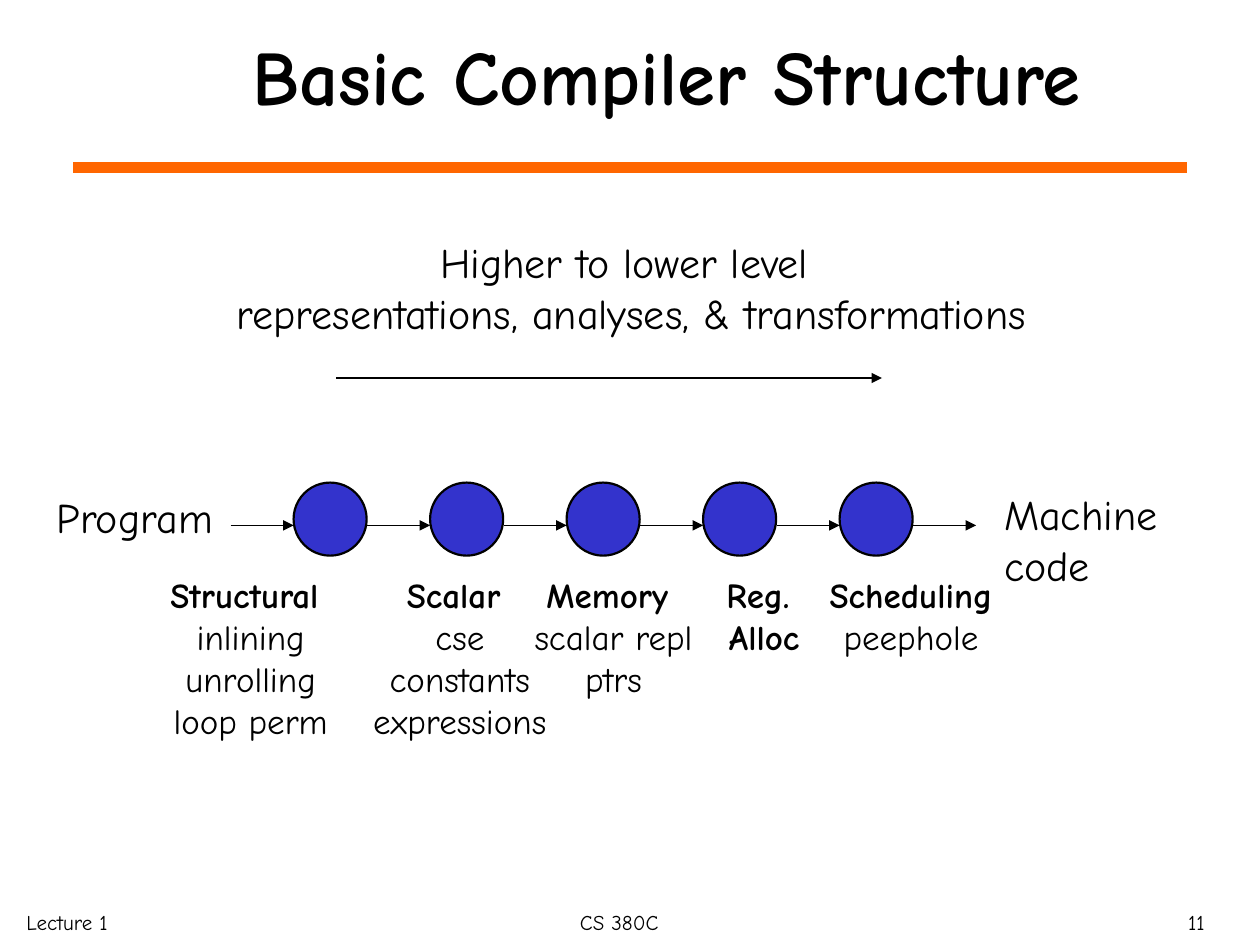
import pptx
import pptx.dml.color
import pptx.enum.shapes
import pptx.enum.text
import pptx.oxml
import pptx.oxml.ns
import pptx.util

Inches = pptx.util.Inches
Pt = pptx.util.Pt
RGBColor = pptx.dml.color.RGBColor
ALIGN = pptx.enum.text.PP_ALIGN
BLACK = RGBColor(0x00, 0x00, 0x00)
BLUE = RGBColor(0x33, 0x33, 0xCC)
ORANGE = RGBColor(0xFF, 0x66, 0x00)
PITCH = 13 / 12
SIDE = 0.58


class Sheet:
    font = "Comic Neue"

    def __init__(self, slide):
        self.slide = slide

    def style(self, para, size, bold, align):
        para.alignment = align
        for run in para.runs:
            run.font.name = self.font
            run.font.size = Pt(size)
            run.font.bold = bold
            run.font.color.rgb = BLACK

    def title(self, text, x, y, w, h):
        box = self.slide.shapes.title
        box.left, box.top, box.width, box.height = map(Inches, (x, y, w, h))
        box.text_frame.text = text
        box.text_frame.vertical_anchor = pptx.enum.text.MSO_ANCHOR.MIDDLE
        para = box.text_frame.paragraphs[0]
        para.line_spacing = 0.8
        self.style(para, 44, True, ALIGN.CENTER)

    def text(self, text, x, y, w, h, size, align=ALIGN.LEFT, bolds=0, wrap=False):
        box = self.slide.shapes.add_textbox(*map(Inches, (x, y, w, h)))
        frame = box.text_frame
        frame.text = text
        frame.word_wrap = wrap
        if not wrap:
            frame.auto_size = pptx.enum.text.MSO_AUTO_SIZE.SHAPE_TO_FIT_TEXT
        for i, para in enumerate(frame.paragraphs):
            self.style(para, size, i < bolds, align)
        return frame

    def line(self, x1, y1, x2, y2, color, width, arrow=True):
        line = self.slide.shapes.add_connector(
            pptx.enum.shapes.MSO_CONNECTOR.STRAIGHT, *map(Inches, (x1, y1, x2, y2)))
        line.line.color.rgb = color
        line.line.width = Pt(width)
        make = pptx.oxml.ns.qn
        props = line._element.spPr
        if arrow:
            tail = props.find(make("a:ln")).makeelement(make("a:tailEnd"), {"type": "triangle"})
            props.find(make("a:ln")).append(tail)
        props.append(props.makeelement(make("a:effectLst"), {}))

    def disc(self, x, y):
        disc = self.slide.shapes.add_shape(
            pptx.enum.shapes.MSO_SHAPE.OVAL, *map(Inches, (x, y, SIDE, SIDE)))
        disc.shadow.inherit = False
        disc.fill.solid()
        disc.fill.fore_color.rgb = BLUE
        disc.line.color.rgb = BLACK
        disc.line.width = Pt(1.25)


def main():
    deck = pptx.Presentation()
    deck.slide_width, deck.slide_height = Inches(10), Inches(7.5)
    sheet = Sheet(deck.slides.add_slide(deck.slide_layouts[5]))

    sheet.line(0.58, 1.33, 9.42, 1.33, ORANGE, 6, arrow=False)
    foot = sheet.text("Lecture 1", 0, 7.17, 3.17, 0.5, 12, wrap=True)
    foot.margin_left = Inches(0.21)
    sheet.text("CS 380C", 3.33, 7.17, 3.17, 0.5, 12, ALIGN.CENTER, wrap=True)
    sheet.text("11", 7.58, 7.17, 2.08, 0.5, 12, ALIGN.RIGHT, wrap=True)
    sheet.title("Basic Compiler Structure", 1.33, 0, 7.92, 1.33)

    for i in range(5):
        sheet.disc(2.33 + i * PITCH, 3.83)
    for i in range(6):
        start = 1.83 + i * PITCH
        sheet.line(start, 4.17, start + 0.5, 4.17, BLACK, 0.75)

    sheet.text("Program", 0.35, 3.85, 1.45, 0.5, 24)
    sheet.text("Machine\ncode", 7.87, 3.83, 1.42, 0.9, 24)
    sheet.line(2.67, 3, 7, 3, BLACK, 1)
    sheet.text("Higher to lower level \nrepresentations, analyses, & transformations",
               1.76, 1.83, 6.5, 0.9, 24, ALIGN.CENTER)

    stages = [
        ("Structural \ninlining\nunrolling\nloop perm", 1.25, 1.48, 1.44, 1),
        ("Scalar \ncse\nconstants\nexpressions", 2.86, 1.58, 1.44, 1),
        ("Memory \nscalar repl\nptrs", 4.14, 1.46, 1.1, 1),
        ("Reg. \nAlloc ", 5.64, 0.85, 0.77, 2),
        ("Scheduling \npeephole", 6.44, 1.58, 0.77, 1),
    ]
    for text, x, w, h, bolds in stages:
        sheet.text(text, x, 4.5, w, h, 20, ALIGN.CENTER, bolds)

    deck.save("out.pptx")


if __name__ == "__main__":
    main()
